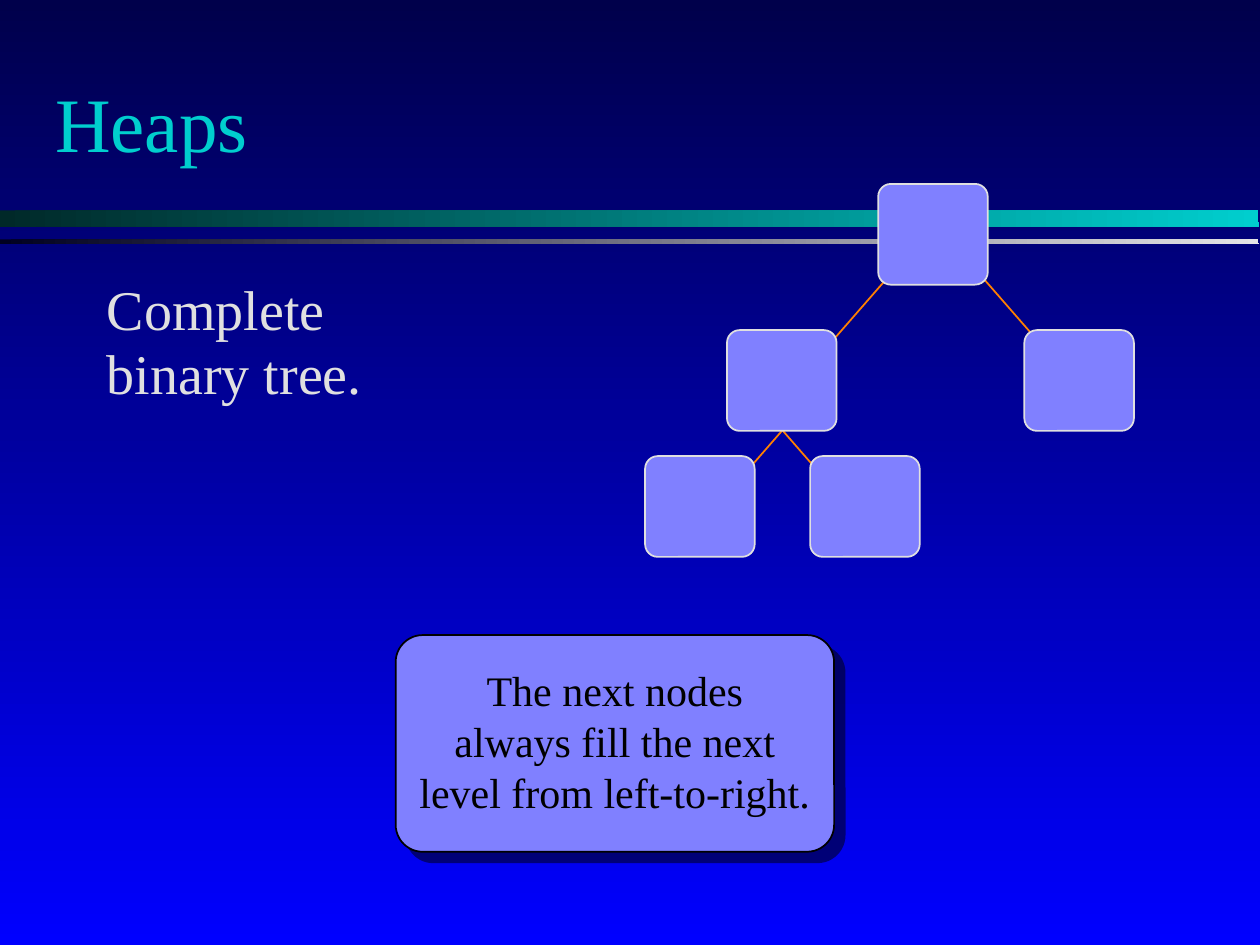
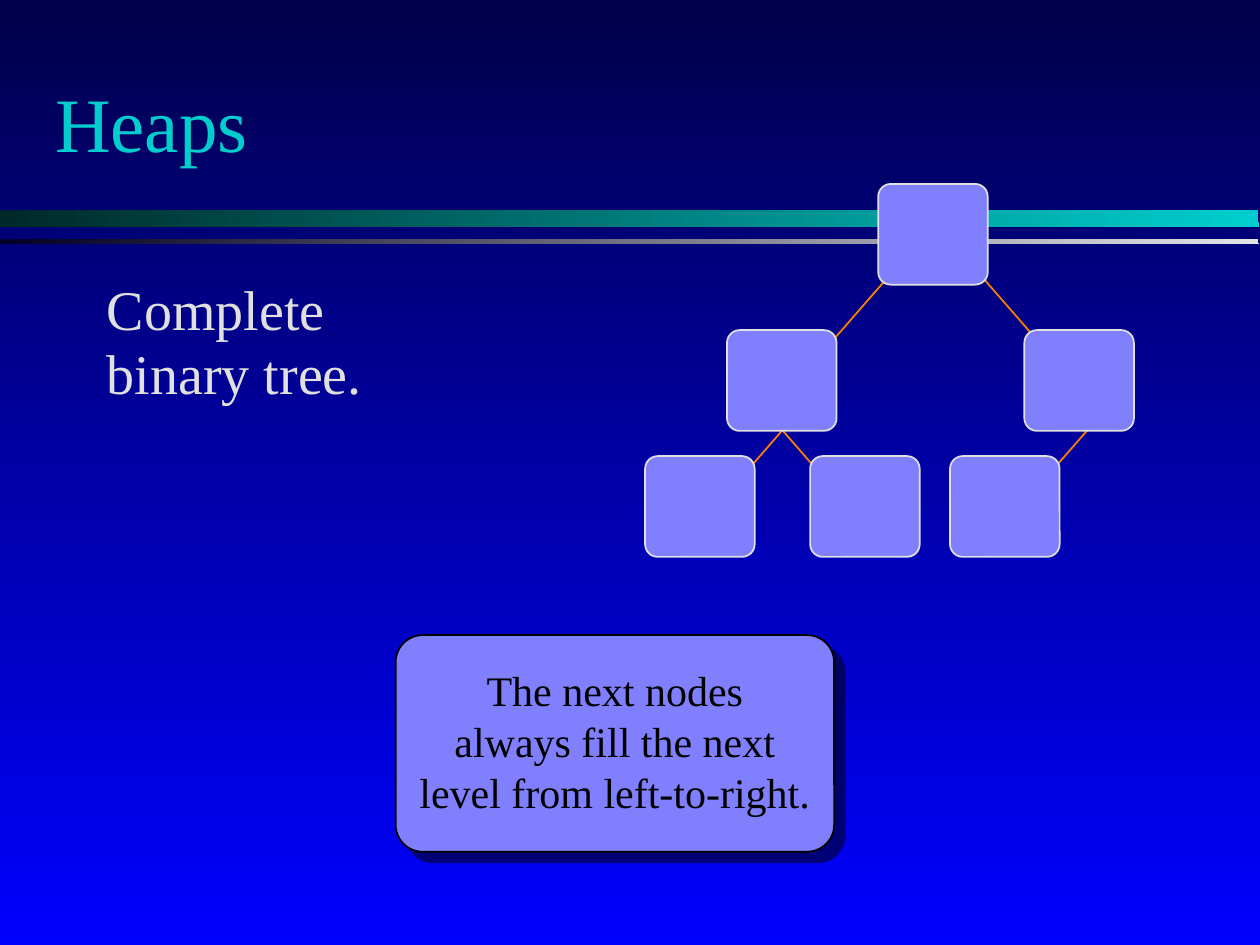
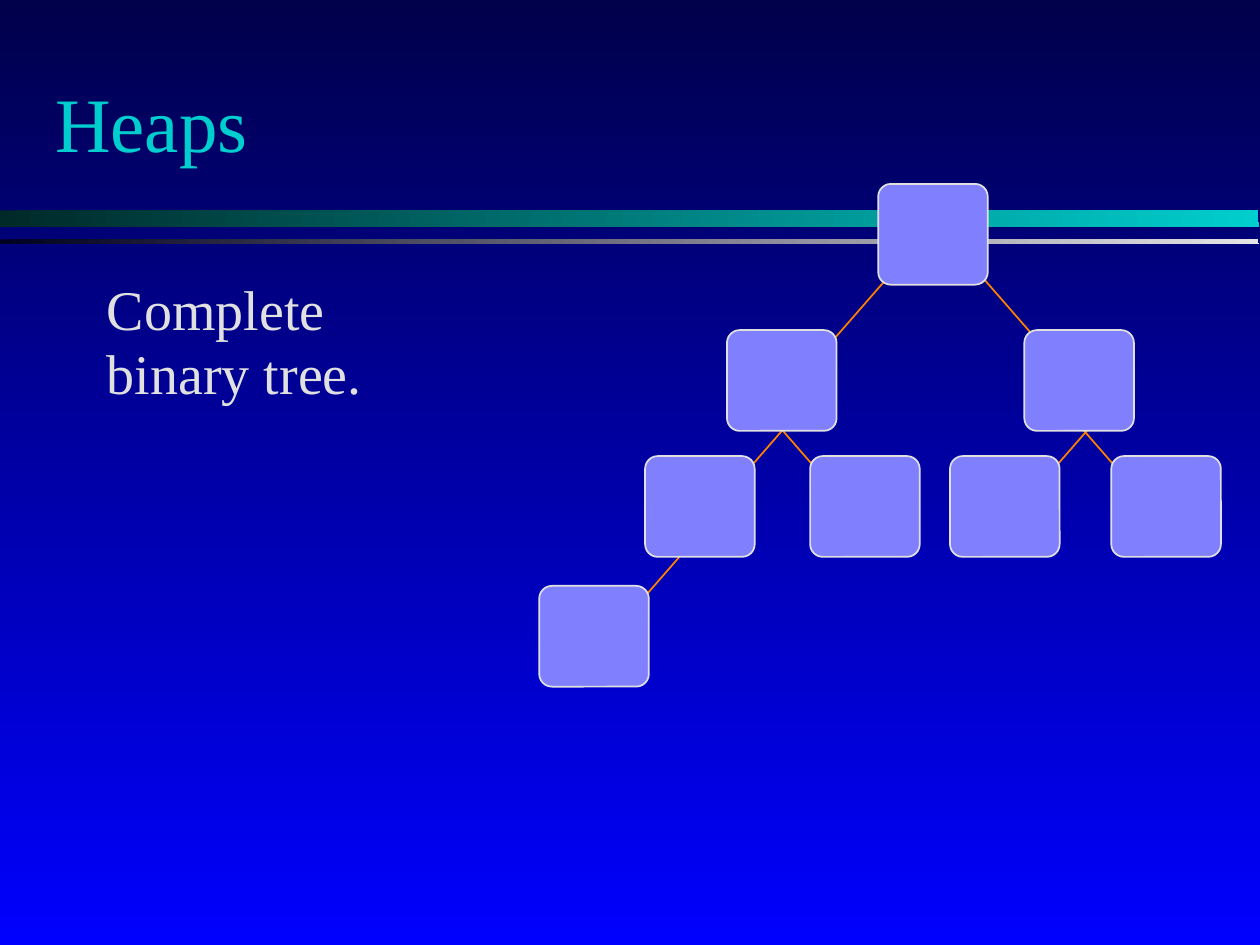
from lxml import etree
from pptx import Presentation
from pptx.dml.color import RGBColor
from pptx.enum.shapes import MSO_CONNECTOR, MSO_SHAPE
from pptx.enum.text import MSO_ANCHOR, PP_ALIGN
from pptx.oxml import parse_xml
from pptx.oxml.ns import nsdecls, qn
from pptx.util import Inches, Pt

FONT = "Times New Roman"
NAVY = RGBColor(0x00, 0x00, 0x4B)
BLUE = RGBColor(0x00, 0x00, 0xFF)
TEAL = RGBColor(0x00, 0xCE, 0xCE)
DARK_TEAL = RGBColor(0x00, 0x29, 0x29)
SILVER = RGBColor(0xE4, 0xE4, 0xE7)
MIDNIGHT = RGBColor(0x00, 0x00, 0x20)
PALE = RGBColor(0xE0, 0xE0, 0xE0)
PERIWINKLE = RGBColor(0x80, 0x80, 0xFF)
ORANGE = RGBColor(0xFF, 0x80, 0x00)
BLACK = RGBColor(0x00, 0x00, 0x00)

BANDS = [(1.67, 0.13, DARK_TEAL, TEAL), (1.9, 0.04, MIDNIGHT, SILVER)]
CALLOUT_LINES = ["The next nodes", "always fill the next", "level from left-to-right."]

NODE_WIDTH, NODE_HEIGHT = 0.87, 0.8
LINK_RUN, LINK_DROP = 0.61, 0.7
FROM_RIGHT = (0.65, 0.3, LINK_RUN)
FROM_LEFT = (0.22, 0.3, -LINK_RUN)
FROM_ROOT_LEFT = (0.25, 0.25, -LINK_RUN)
HEAP = [
    (6.97, 1.46, None),
    (5.77, 2.62, FROM_RIGHT),
    (8.13, 2.62, FROM_ROOT_LEFT),
    (5.12, 3.62, FROM_RIGHT),
    (6.43, 3.62, FROM_LEFT),
    (7.54, 3.62, FROM_RIGHT),
    (8.82, 3.62, FROM_LEFT),
    (4.28, 4.65, FROM_RIGHT),
]
STEPS = [(5, True), (6, True), (8, False)]


def add_rounded(page, left, top, width, height, corner):
    shape = page.shapes.add_shape(
        MSO_SHAPE.ROUNDED_RECTANGLE, Inches(left), Inches(top), Inches(width), Inches(height)
    )
    shape.adjustments[0] = corner
    shape.shadow.inherit = False
    return shape


def add_span(para, text, size, color, spacing):
    para.line_spacing = spacing
    span = para.add_run()
    span.text = text
    span.font.name = FONT
    span.font.size = Pt(size)
    span.font.color.rgb = color


deck = Presentation()
deck.slide_width = Inches(10)
deck.slide_height = Inches(7.5)

backdrop = deck.slide_master.background.fill
backdrop.gradient()
backdrop.gradient_angle = 270
for stop, color in zip(backdrop.gradient_stops, (NAVY, BLUE)):
    stop.color.rgb = color

for node_count, has_callout in STEPS:
    page = deck.slides.add_slide(deck.slide_layouts[6])

    for top, height, start, end in BANDS:
        band = add_rounded(page, 0, top, 9.99, height, 0.01)
        band.line.fill.background()
        band.fill.gradient()
        band.fill.gradient_angle = 0
        for stop, color in zip(band.fill.gradient_stops, (start, end)):
            stop.color.rgb = color

    title = page.shapes.add_textbox(Inches(0.34), Inches(0.38), Inches(8.5), Inches(1.25))
    title.text_frame.word_wrap = True
    title.text_frame.vertical_anchor = MSO_ANCHOR.MIDDLE
    add_span(title.text_frame.paragraphs[0], "Heaps", 44, TEAL, 0.95)

    body = page.shapes.add_textbox(Inches(0.75), Inches(2.17), Inches(2.9), Inches(4.5))
    body.text_frame.word_wrap = True
    para = body.text_frame.paragraphs[0]
    para.space_before = Pt(8)
    add_span(para, "Complete binary tree.", 32, PALE, 0.95)

    if has_callout:
        callout = add_rounded(page, 3.14, 5.04, 3.48, 1.72, 0.125)
        callout.fill.solid()
        callout.fill.fore_color.rgb = PERIWINKLE
        callout.line.color.rgb = BLACK
        callout.line.width = Pt(1)
        effects = callout._element.spPr.find(qn("a:effectLst"))
        effects.append(parse_xml(
            f'<a:outerShdw {nsdecls("a")} dist="{Pt(8.5)}" dir="2700000" algn="ctr" rotWithShape="0">'
            f'<a:srgbClr val="{BLACK}"><a:alpha val="50000"/></a:srgbClr></a:outerShdw>'
        ))
        caption = page.shapes.add_textbox(Inches(3.21), Inches(5.11), Inches(3.34), Inches(1.57))
        frame = caption.text_frame
        frame.word_wrap = True
        frame.vertical_anchor = MSO_ANCHOR.MIDDLE
        for index, text in enumerate(CALLOUT_LINES):
            para = frame.add_paragraph() if index else frame.paragraphs[0]
            para.alignment = PP_ALIGN.CENTER
            add_span(para, text, 24, BLACK, 1.0 if index else 0.93)

    nodes = HEAP[:node_count]
    for left, top, link in nodes[1:]:
        end_left, end_top, run = link
        end_x, end_y = left + end_left, top + end_top
        branch = page.shapes.add_connector(
            MSO_CONNECTOR.STRAIGHT,
            Inches(end_x + run), Inches(end_y - LINK_DROP), Inches(end_x), Inches(end_y),
        )
        branch.line.color.rgb = ORANGE
        branch.line.width = Pt(1)
        etree.SubElement(branch._element.spPr, qn("a:effectLst"))

    for left, top, link in nodes:
        node = add_rounded(page, left, top, NODE_WIDTH, NODE_HEIGHT, 0.126)
        node.fill.solid()
        node.fill.fore_color.rgb = PERIWINKLE
        node.line.color.rgb = PALE
        node.line.width = Pt(1)

deck.save("out.pptx")
